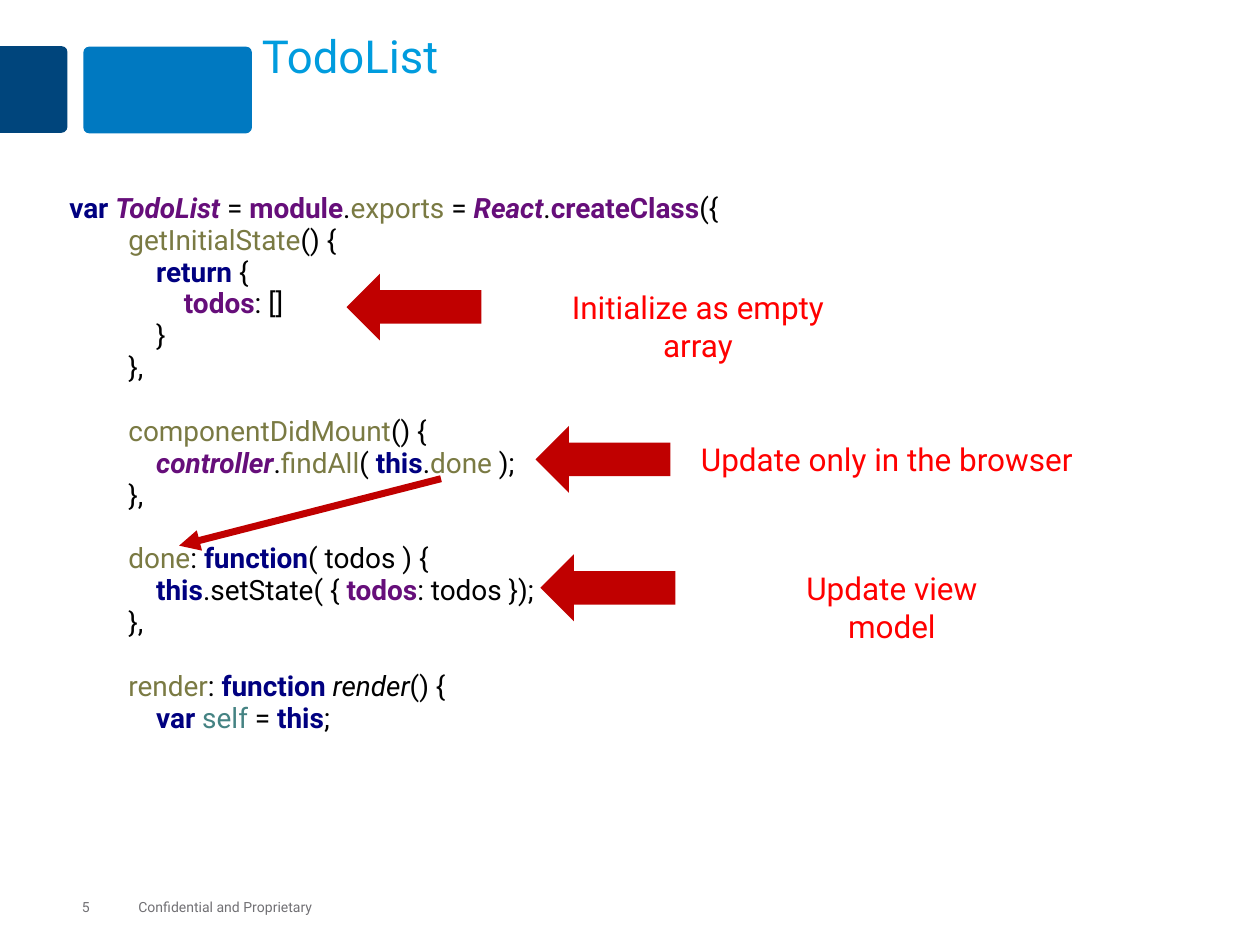
"""Build the TodoList slide: a code listing with three callouts."""
from dataclasses import dataclass
from enum import Enum

from lxml import etree
from pptx import Presentation
from pptx import util as u
from pptx.dml.color import RGBColor
from pptx.enum import shapes, text
from pptx.oxml import ns

FONT = "Roboto"
BLACK = RGBColor(0x00, 0x00, 0x00)
NAVY = RGBColor(0x00, 0x00, 0x80)
PURPLE = RGBColor(0x66, 0x0E, 0x7A)
OLIVE = RGBColor(0x7A, 0x7A, 0x43)
TEAL = RGBColor(0x45, 0x83, 0x83)
GREY = RGBColor(0x71, 0x70, 0x74)
RED = RGBColor(0xFF, 0x00, 0x00)
DARK_RED = RGBColor(0xC0, 0x00, 0x00)
SKY = RGBColor(0x00, 0x9C, 0xDE)
BLUE = RGBColor(0x00, 0x79, 0xC1)
DARK_BLUE = RGBColor(0x00, 0x45, 0x7C)

CODE_SIZE, CODE_SPACING, CODE_GAP = 16, 0.95, 18.2
FIRST_INDENT, INDENT_STEP = 1.19, 0.56
ARROW_WIDTH, ARROW_LENGTH, LABEL_DROP = 1.35, 2.72, 0.98


class Style(Enum):
    PLAIN = (BLACK, False, False)
    SLANTED = (BLACK, False, True)
    KEYWORD = (NAVY, True, False)
    FIELD = (PURPLE, True, False)
    GLOBAL = (PURPLE, True, True)
    MEMBER = (OLIVE, False, False)
    LOCAL = (TEAL, False, False)


@dataclass
class CodeLine:
    depth: int
    spans: list[tuple[str, Style]]
    gap_before: bool = False


@dataclass
class Callout:
    label: str
    arrow_left: float
    arrow_top: float
    label_left: float
    label_width: float


P, K, F, G, M = Style.PLAIN, Style.KEYWORD, Style.FIELD, Style.GLOBAL, Style.MEMBER
CODE = [
    CodeLine(0, [("var ", K), ("TodoList ", G), ("= ", P), ("module", F), (".", P),
                 ("exports ", M), ("= ", P), ("React", G), (".", P),
                 ("createClass", F), ("({", P)]),
    CodeLine(1, [("getInitialState", M), ("() {", P)]),
    CodeLine(2, [("return ", K), ("{", P)]),
    CodeLine(3, [("todos", F), (": []", P)]),
    CodeLine(2, [("}", P)]),
    CodeLine(1, [("},", P)]),
    CodeLine(1, [("componentDidMount", M), ("() {", P)], True),
    CodeLine(2, [("controller", G), (".", P), ("findAll", M), ("( ", P),
                 ("this", K), (".", P), ("done ", M), (");", P)]),
    CodeLine(1, [("},", P)]),
    CodeLine(1, [("done", M), (": ", P), ("function", K), ("( todos ) {", P)], True),
    CodeLine(2, [("this", K), (".setState( { ", P), ("todos", F), (": todos });", P)]),
    CodeLine(1, [("},", P)]),
    CodeLine(1, [("render", M), (": ", P), ("function ", K),
                 ("render", Style.SLANTED), ("() {", P)], True),
    CodeLine(2, [("var ", K), ("self ", Style.LOCAL), ("= ", P), ("this", K), (";", P)]),
]
CALLOUTS = [
    Callout("Initialize as empty array", 7.67, 4.83, 10.87, 6.4),
    Callout("Update only in the browser", 11.48, 7.9, 14.08, 7.6),
    Callout("Update view model", 11.58, 10.49, 15.48, 5),
]


def set_font(font, size: float, color: RGBColor) -> None:
    font.name, font.size = FONT, u.Pt(size)
    font.color.rgb = color


def clear_margins(frame) -> None:
    frame.margin_left = frame.margin_top = frame.margin_right = frame.margin_bottom = 0


def add_text(parent, words: str, place: tuple, size: float, color: RGBColor,
             align=text.PP_ALIGN.LEFT, anchor=text.MSO_ANCHOR.TOP) -> None:
    frame = parent.add_textbox(*map(u.Cm, place)).text_frame
    clear_margins(frame)
    frame.word_wrap, frame.vertical_anchor = True, anchor
    para = frame.paragraphs[0]
    para.text, para.alignment = words, align
    set_font(para.font, size, color)


def add_solid(parent, kind, place: tuple, color: RGBColor, turn: float = 0):
    solid = parent.add_shape(kind, *map(u.Cm, place))
    solid.rotation = turn
    solid.shadow.inherit = False
    solid.fill.solid()
    solid.fill.fore_color.rgb = color
    solid.line.fill.background()
    return solid


def add_code(page, lines: list[CodeLine]) -> None:
    box = page.shapes.add_textbox(u.Cm(1.4), u.Cm(3.76), u.Cm(22.53), u.Cm(13.39))
    frame = box.text_frame
    frame.word_wrap, frame.margin_left = True, 0
    for number, line in enumerate(lines):
        para = frame.add_paragraph() if number else frame.paragraphs[0]
        para.line_spacing = CODE_SPACING
        para.space_before = u.Pt(CODE_GAP if line.gap_before else 0)
        if line.depth:
            indent = u.Cm(FIRST_INDENT + INDENT_STEP * (line.depth - 1))
            para._p.get_or_add_pPr().set("marL", str(indent))
        for words, style in line.spans:
            span = para.add_run()
            span.text = words
            color, span.font.bold, span.font.italic = style.value
            set_font(span.font, CODE_SIZE, color)


def add_callout(page, callout: Callout) -> None:
    parts = page.shapes.add_group_shape().shapes
    add_solid(parts, shapes.MSO_SHAPE.DOWN_ARROW,
              (callout.arrow_left, callout.arrow_top, ARROW_WIDTH, ARROW_LENGTH),
              DARK_RED, 90)
    add_text(parts, callout.label,
             (callout.label_left, callout.arrow_top + LABEL_DROP, callout.label_width, 0.76),
             18, RED, text.PP_ALIGN.CENTER)


def add_pointer(page, start: tuple, end: tuple) -> None:
    pointer = page.shapes.add_connector(
        shapes.MSO_CONNECTOR.STRAIGHT, *map(u.Cm, start + end))
    pointer.line.color.rgb = DARK_RED
    pointer.line.width = u.Pt(4)
    etree.SubElement(pointer.line._get_or_add_ln(), ns.qn("a:tailEnd"), type="triangle")
    etree.SubElement(pointer._element.spPr, ns.qn("a:effectLst"))


def add_title(page, words: str) -> None:
    title = page.shapes.title
    title.left, title.top, title.width, title.height = map(u.Cm, (5.28, 0.64, 19.48, 2.31))
    frame = title.text_frame
    clear_margins(frame)
    frame.vertical_anchor = text.MSO_ANCHOR.TOP
    para = frame.paragraphs[0]
    para.text, para.alignment, para.line_spacing = words, text.PP_ALIGN.LEFT, 0.95
    set_font(para.font, 26, SKY)


def main() -> None:
    deck = Presentation()
    deck.slide_width, deck.slide_height = u.Cm(25.4), u.Cm(19.05)
    page = deck.slides.add_slide(deck.slide_layouts[5])
    tab = add_solid(page.shapes, shapes.MSO_SHAPE.ROUND_2_SAME_RECTANGLE,
                    (-0.2, 1.12, 1.75, 1.37), DARK_BLUE, 90)
    tab.adjustments[0] = 0.09
    block = add_solid(page.shapes, shapes.MSO_SHAPE.ROUNDED_RECTANGLE,
                      (1.68, 0.94, 3.4, 1.75), BLUE)
    block.adjustments[0] = 0.07
    for words, left, width in (("Confidential and Proprietary", 2.79, 3.7), ("5", 1.65, 1)):
        add_text(page.shapes, words, (left, 18.11, width, 0.33), 8, GREY,
                 anchor=text.MSO_ANCHOR.MIDDLE)
    add_title(page, "TodoList")
    add_code(page, CODE)
    for callout in CALLOUTS:
        add_callout(page, callout)
    add_pointer(page, (8.89, 9.65), (3.61, 11))
    deck.save("out.pptx")


if __name__ == "__main__":
    main()
